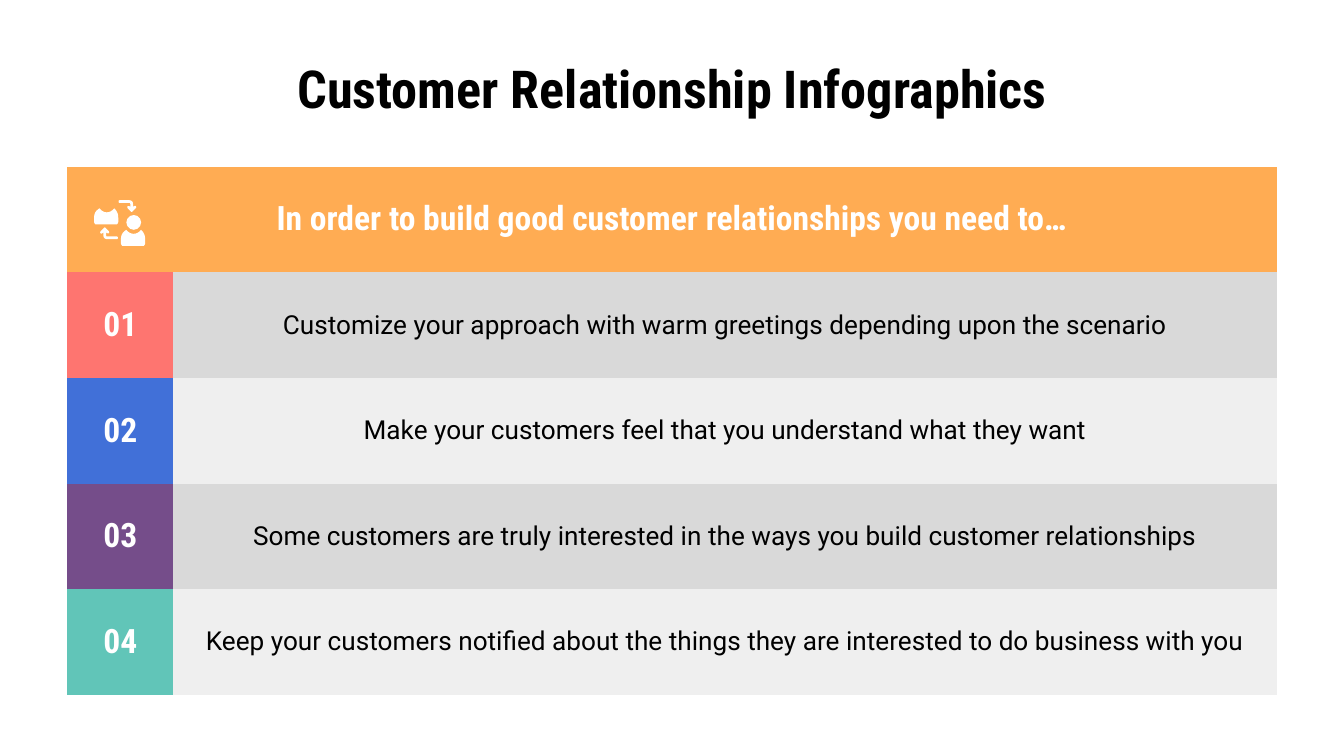
from pptx import Presentation
from pptx.dml.color import RGBColor
from pptx.enum.shapes import MSO_SHAPE
from pptx.enum.text import MSO_ANCHOR, PP_ALIGN
from pptx.util import Inches, Pt

CENTER = PP_ALIGN.CENTER
MIDDLE = MSO_ANCHOR.MIDDLE
OVAL = MSO_SHAPE.OVAL

COLORS = {
    "black": "000000", "white": "FFFFFF", "orange": "FFAC53",
    "red": "FE7570", "blue": "4170D8", "purple": "754D8A", "teal": "61C5B8",
    "dark_band": "D9D9D9", "light_band": "EFEFEF",
}
HEADING_FONT = "Roboto Condensed"
BODY_FONT = "Roboto"
PLAIN_TABLE_STYLE = "{2D5ABB26-0587-4C30-8999-92F81FD0307C}"

HEADER = "In order to build good customer relationships you need to…"
STEPS = [
    ("red", "Customize your approach with warm greetings depending upon the scenario"),
    ("blue", "Make your customers feel that you understand what they want"),
    ("purple", "Some customers are truly interested in the ways you build customer relationships"),
    ("teal", "Keep your customers notified about the things they are interested to do business with you"),
]

# Outlines in inches: a pair is a corner, six numbers are a curve
ARROW = [
    (0.89, 1.49), (0.88, 1.49, 0.88, 1.51, 0.89, 1.51), (0.96, 1.51),
    (0.97, 1.51, 0.97, 1.51, 0.97, 1.54),
    (0.96, 1.53, 0.94, 1.53, 0.95, 1.55), (0.97, 1.57),
    (0.98, 1.58, 0.98, 1.58, 0.99, 1.57), (1.01, 1.55),
    (1.02, 1.54, 1.01, 1.52, 0.99, 1.54), (0.99, 1.52),
    (0.99, 1.5, 0.98, 1.49, 0.96, 1.49),
]
BODY = [
    (0.74, 1.55), (0.71, 1.57, 0.7, 1.59, 0.7, 1.62), (0.7, 1.65),
    (0.7, 1.66, 0.71, 1.67, 0.71, 1.67), (0.87, 1.67),
    (0.87, 1.67, 0.88, 1.66, 0.88, 1.65), (0.88, 1.62),
    (0.88, 1.59, 0.87, 1.57, 0.85, 1.55),
    (0.82, 1.59, 0.77, 1.59, 0.74, 1.55),
]


def color(name):
    return RGBColor.from_string(COLORS[name])


def write(frame, text, *, size, font=HEADING_FONT, ink="white", bold=True):
    para = frame.paragraphs[0]
    para.alignment = CENTER
    span = para.add_run()
    span.text = text
    span.font.size = Pt(size)
    span.font.name = font
    span.font.bold = bold
    span.font.color.rgb = color(ink)


def add_title(page, text):
    box = page.shapes.add_textbox(Inches(0.5), Inches(0.45), Inches(9), Inches(0.41))
    box.text_frame.word_wrap = True
    box.text_frame.vertical_anchor = MIDDLE
    write(box.text_frame, text, size=28, ink="black")


def fill_cell(cell, fill, text, **text_format):
    cell.fill.solid()
    cell.fill.fore_color.rgb = color(fill)
    cell.vertical_anchor = MIDDLE
    cell.margin_left = cell.margin_right = Inches(0.1)
    cell.margin_top = cell.margin_bottom = Inches(0.1)
    write(cell.text_frame, text, **text_format)


def add_steps_table(page):
    frame = page.shapes.add_table(len(STEPS) + 1, 2, Inches(0.5), Inches(1.24),
                                  Inches(9), Inches(3.93))
    table = frame.table
    table._tbl.tblPr.find("{*}tableStyleId").text = PLAIN_TABLE_STYLE
    table.columns[0].width = Inches(0.79)
    table.columns[1].width = Inches(8.21)

    # Header across both columns
    table.cell(0, 0).merge(table.cell(0, 1))
    fill_cell(table.cell(0, 0), "orange", HEADER, size=18)

    # Numbered rows on alternating bands
    for row, (accent, text) in enumerate(STEPS, start=1):
        band = "dark_band" if row % 2 else "light_band"
        fill_cell(table.cell(row, 0), accent, f"{row:02}", size=18)
        fill_cell(table.cell(row, 1), band, text, size=14, font=BODY_FONT,
                  ink="black", bold=False)


def paint_white(shape):
    shape.shadow.inherit = False
    shape.fill.solid()
    shape.fill.fore_color.rgb = color("white")
    shape.line.fill.background()


def flatten(outline, steps=8):
    """Turn corners and cubic curves into a list of points."""
    points = []
    for part in outline:
        if len(part) == 2:
            points.append(part)
            continue
        controls = [points[-1], part[:2], part[2:4], part[4:]]
        for step in range(1, steps + 1):
            t = step / steps
            weights = ((1 - t) ** 3, 3 * t * (1 - t) ** 2, 3 * t * t * (1 - t), t ** 3)
            points.append(tuple(sum(w * c[axis] for w, c in zip(weights, controls))
                                for axis in (0, 1)))
    return points


def add_outline(page, outline, dx=0, dy=0, sign=1):
    """Draw an outline, moved by dx and dy; sign -1 turns it half round."""
    points = [(Inches(dx + sign * x), Inches(dy + sign * y)) for x, y in flatten(outline)]
    builder = page.shapes.build_freeform(*points[0])
    builder.add_line_segments(points[1:], close=True)
    paint_white(builder.convert_to_shape())


def add_customer_icon(page):
    add_outline(page, ARROW)
    add_outline(page, ARROW, dx=1.76, dy=3.27, sign=-1)
    head = page.shapes.add_shape(OVAL, Inches(0.94), Inches(1.6), Inches(0.11), Inches(0.11))
    paint_white(head)
    add_outline(page, BODY)
    add_outline(page, BODY, dx=0.2, dy=0.16)


def main():
    deck = Presentation()
    # Widescreen page, 16 by 9
    deck.slide_width = Inches(10)
    deck.slide_height = deck.slide_width * 9 // 16
    page = deck.slides.add_slide(deck.slide_layouts[6])
    add_title(page, "Customer Relationship Infographics")
    add_steps_table(page)
    add_customer_icon(page)
    deck.save("out.pptx")


if __name__ == "__main__":
    main()
